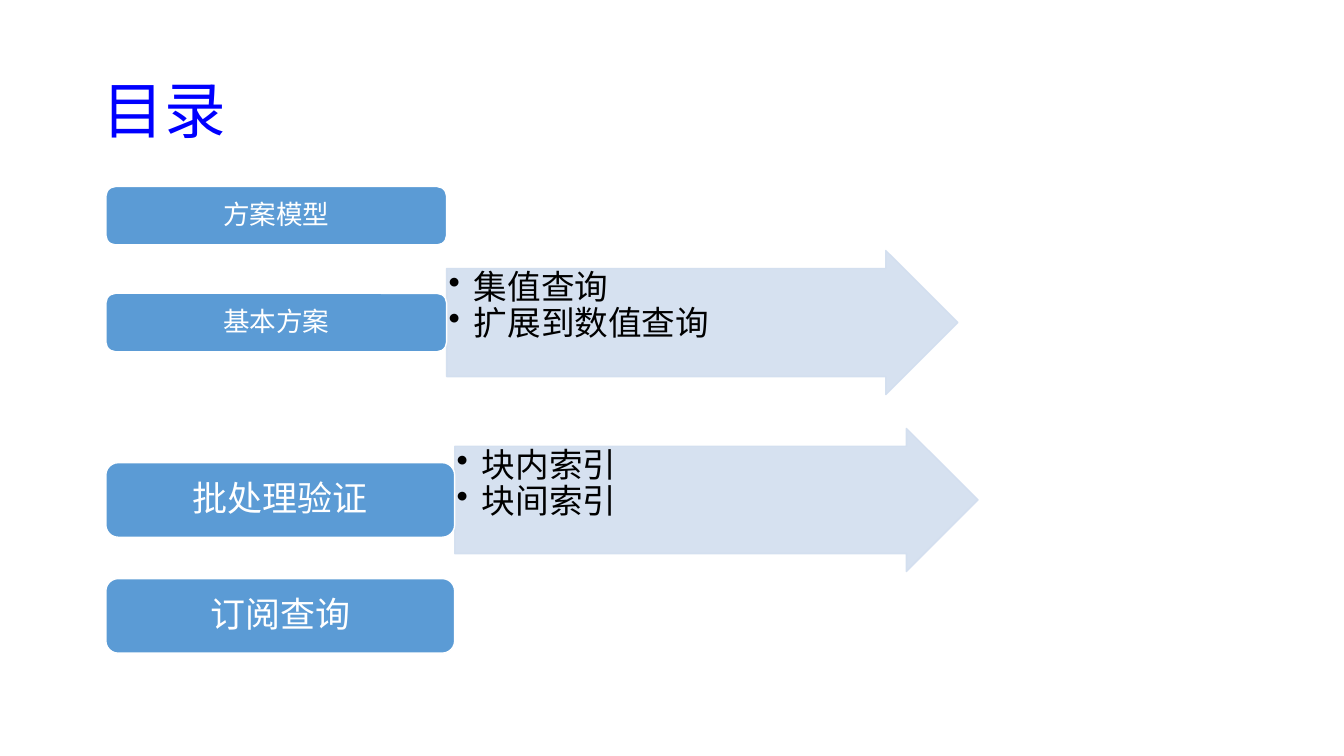
"""Builds a contents slide: section buttons with arrows that list their topics."""
from dataclasses import dataclass

from lxml import etree
from pptx import Presentation
from pptx.dml.color import RGBColor
from pptx.enum import shapes, text
from pptx.oxml import ns
from pptx.util import Inches, Pt


@dataclass(frozen=True)
class Theme:
    """Colours, font and type sizes of the slide."""
    font: str = "Calibri"
    title: str = "0000FF"
    button: str = "5B9BD5"
    arrow: str = "D2DEEF"
    light: str = "FFFFFF"
    dark: str = "000000"
    title_size: int = 44
    small_size: int = 19
    large_size: int = 25
    topic_size: int = 24
    arrow_opacity: int = 90


THEME = Theme()
LEFT = 1.05
SMALL_BUTTON = (3.38, 0.58)
LARGE_BUTTON = (3.46, 0.74)
SECTIONS = [
    ("方案模型", 1.85, SMALL_BUTTON, THEME.small_size, None, []),
    ("基本方案", 2.91, SMALL_BUTTON, THEME.small_size, (5.07, 1.43),
     ["集值查询", "扩展到数值查询"]),
    ("批处理验证", 4.59, LARGE_BUTTON, THEME.large_size, (5.19, 1.42),
     ["块内索引", "块间索引"]),
    ("订阅查询", 5.74, LARGE_BUTTON, THEME.large_size, None, []),
]


def style_paragraph(paragraph, size, color, align=text.PP_ALIGN.LEFT):
    """Set the font, alignment and line spacing of a paragraph."""
    paragraph.alignment = align
    paragraph.line_spacing = 0.9
    paragraph.font.name = THEME.font
    paragraph.font.size = Pt(size)
    paragraph.font.color.rgb = RGBColor.from_string(color)


def add_bullet(paragraph, indent):
    """Give a paragraph a round bullet with a hanging indent."""
    properties = paragraph._p.get_or_add_pPr()
    properties.set("marL", str(Inches(indent)))
    properties.set("indent", str(-Inches(indent)))
    bullet = etree.Element(ns.qn("a:buChar"), char="•")
    properties.find(ns.qn("a:defRPr")).addprevious(bullet)


def set_opacity(color_format_fill, percent):
    """Make a solid fill partly transparent."""
    color = color_format_fill._xPr.find(ns.qn("a:solidFill"))[0]
    etree.SubElement(color, ns.qn("a:alpha"), val=str(percent * 1000))


def set_margins(frame, margin):
    """Set the four inner margins of a text frame."""
    frame.margin_left = frame.margin_right = Inches(margin)
    frame.margin_top = frame.margin_bottom = Inches(margin)


def add_block(slide, kind, box, fill, line):
    """Add a flat preset shape with a thin outline."""
    shape = slide.shapes.add_shape(kind, *map(Inches, box))
    shape.shadow.inherit = False
    shape.fill.solid()
    shape.fill.fore_color.rgb = RGBColor.from_string(fill)
    shape.line.color.rgb = RGBColor.from_string(line)
    shape.line.width = Pt(1)
    shape.text_frame.word_wrap = True
    return shape


def add_title(slide, box, title):
    """Add the slide title, centred vertically in its box."""
    frame = slide.shapes.add_textbox(*map(Inches, box)).text_frame
    frame.word_wrap = True
    frame.vertical_anchor = text.MSO_ANCHOR.MIDDLE
    frame.text = title
    style_paragraph(frame.paragraphs[0], THEME.title_size, THEME.title)


def add_topics(slide, box, topics):
    """Add an arrow that lists the topics of a section."""
    arrow = add_block(slide, shapes.MSO_SHAPE.RIGHT_ARROW, box, THEME.arrow, THEME.arrow)
    arrow.adjustments[0] = 0.75
    set_opacity(arrow.fill, THEME.arrow_opacity)
    set_opacity(arrow.line.fill, THEME.arrow_opacity)
    frame = arrow.text_frame
    frame.vertical_anchor = text.MSO_ANCHOR.TOP
    set_margins(frame, 0.02)
    frame.text = "\n".join(topics)
    for paragraph in frame.paragraphs:
        style_paragraph(paragraph, THEME.topic_size, THEME.dark)
        add_bullet(paragraph, 0.25)


def add_section(slide, box, name, size, arrow_size, topics):
    """Add a section button and, to its right, the arrow with its topics."""
    left, top, width, height = box
    if topics:
        arrow_width, arrow_height = arrow_size
        arrow_top = top + (height - arrow_height) / 2
        add_topics(slide, (left + width, arrow_top, arrow_width, arrow_height), topics)
    button = add_block(slide, shapes.MSO_SHAPE.ROUNDED_RECTANGLE, box,
                       THEME.button, THEME.light)
    frame = button.text_frame
    frame.vertical_anchor = text.MSO_ANCHOR.MIDDLE
    set_margins(frame, 0.05)
    frame.text = name
    style_paragraph(frame.paragraphs[0], size, THEME.light, text.PP_ALIGN.CENTER)


def main():
    """Build the contents slide and save it."""
    presentation = Presentation()
    presentation.slide_width = Inches(13.33)
    presentation.slide_height = Inches(7.5)
    slide = presentation.slides.add_slide(presentation.slide_layouts[6])
    add_title(slide, (0.92, 0.4, 11.5, 1.45), "目录")
    for name, top, button_size, size, arrow_size, topics in SECTIONS:
        add_section(slide, (LEFT, top, *button_size), name, size, arrow_size, topics)
    presentation.save("out.pptx")


if __name__ == "__main__":
    main()
